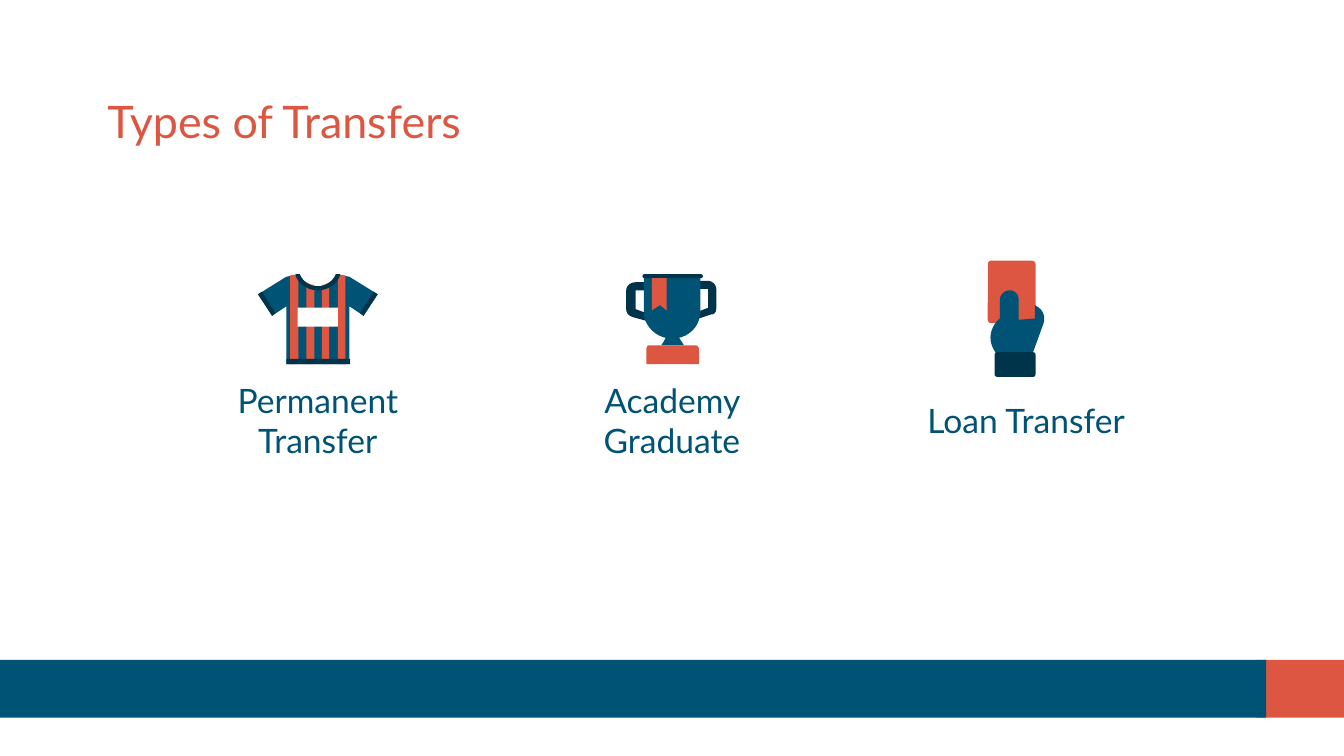
from pptx import Presentation
from pptx.dml.color import RGBColor
from pptx.enum.shapes import MSO_SHAPE
from pptx.enum.text import MSO_ANCHOR, PP_ALIGN
from pptx.util import Inches, Pt

RECT, ROUND = MSO_SHAPE.RECTANGLE, MSO_SHAPE.ROUNDED_RECTANGLE
LEFT, CENTER, MIDDLE = PP_ALIGN.LEFT, PP_ALIGN.CENTER, MSO_ANCHOR.MIDDLE
BLUE, RED, NAVY, WHITE = "005375", "DC5641", "00344A", "FFFFFF"
W = 10
H = W * 9 / 16

TITLE = "Types of Transfers"
BANDS = [(9.35, 0.65, RED), (0, 9.42, BLUE)]  # left, width, colour
BAND_TOP, BAND_H = 4.91, 0.43


def mirror(points):
    return [(-x, y) for x, y in points]


# Icon parts are in 1/100 inch from the column's centre and the icon row's top.
# Outline: points (x, y) and Bezier curves (x1, y1, x2, y2, x, y).
# Box: (preset, left, top, width, height, corner radius).
COLLAR = [(11.5, 15, 6.5, 19, 0, 19), (-6.5, 19, -11.5, 15, -13.5, 10)]
SIDE = [(13.5, 10), (23.5, 12), (44.5, 25), (34, 41), (23.5, 34), (23.5, 77)]
CUFF = [(41.5, 23), (31.5, 39), (34, 41), (44.5, 25)]
SHIRT = [
    (BLUE, mirror(SIDE) + SIDE[::-1] + COLLAR),
    (RED, [(-14.5, 10), (-20.5, 11), (-20.5, 77), (-14.5, 77)]),
    (RED, [(-8.5, 16), (-8.5, 77), (-2.5, 77), (-2.5, 18), (-5, 18, -7, 17, -8.5, 16)]),
    (RED, [(8.5, 16), (7, 17, 5, 18, 3, 18), (3, 77), (8.5, 77)]),
    (RED, [(15, 10), (15, 77), (20.5, 77), (20.5, 11)]),
    (NAVY, [(-13.5, 10), (-16.5, 10), (-16.5, 11), (-14, 18, -7, 22, 0, 22),
            (7, 22, 14, 18, 16.5, 11), (16.5, 10), (13.5, 10)] + COLLAR),
    (NAVY, CUFF),
    (NAVY, mirror(CUFF)),
    (NAVY, (RECT, -23.5, 73, 47.5, 4, 0)),
    (WHITE, (RECT, -15, 35, 30, 14, 0)),
]
TROPHY = [
    (NAVY, [(-19, 16), (-19, 22), (-27, 22), (-27, 36), (-19, 39),
            (-19, 41, -19, 43, -18, 45), (-29, 42), (-32, 41, -34, 39, -34, 36),
            (-34, 22), (-34, 19, -31, 16, -27, 16)]),
    (NAVY, [(18, 15), (18, 21), (27, 21), (27, 35), (19, 38),
            (19, 40, 18, 42, 17, 44), (29, 40), (32, 40, 33, 38, 33, 35),
            (33, 21), (33, 18, 30, 15, 27, 15)]),
    (BLUE, [(-2, 52), (-6, 60), (-8, 63), (9, 63), (7, 60), (2, 52)]),
    (BLUE, [(-21, 13), (-21, 38), (-21, 49, -11, 58, 0, 58),
            (12, 58, 21, 49, 21, 38), (21, 13)]),
    (NAVY, (ROUND, -22, 10, 45, 3, 1.5)),
    (RED, [(-17, 63), (-18, 63, -19, 64, -19, 66), (-19, 77), (20, 77),
           (20, 66), (20, 64, 19, 63, 17, 63)]),
    (RED, [(-15, 13), (-15, 37), (-9, 33), (-4, 37), (-4, 13)]),
]
CARD = [
    (RED, (ROUND, -28.5, 0, 35.5, 46.5, 2.5)),
    (BLUE, [(-12.5, 22), (-15.5, 22, -19.5, 25, -19.5, 29), (-19.5, 43),
            (-23.5, 46, -26.5, 52, -26.5, 57), (-26.5, 62, -24.5, 66, -21.5, 70),
            (4.5, 70), (12.5, 48), (14.5, 43, 13.5, 38, 9.5, 35), (6.5, 33),
            (6.5, 43), (-5.5, 44), (-5.5, 29), (-5.5, 25, -8.5, 22, -12.5, 22)]),
    (NAVY, (ROUND, -23.5, 68, 30.5, 18.5, 2)),
]
TYPES = [("Permanent Transfer", SHIRT), ("Academy Graduate", TROPHY),
         ("Loan Transfer", CARD)]
PITCH, ICON_TOP = 2.635, 1.94
LABEL_TOP, LABEL_W, TEXT_H = 2.91, 2.11, 0.43
CURVE_STEPS = 10


def rgb(color):
    return RGBColor.from_string(color)


def paint(sp, color):
    sp.shadow.inherit = False
    sp.fill.solid()
    sp.fill.fore_color.rgb = rgb(color)
    sp.line.fill.background()


def add_box(shapes, preset, x, y, w, h, color, radius=0):
    sp = shapes.add_shape(preset, Inches(x), Inches(y), Inches(w), Inches(h))
    if radius:
        sp.adjustments[0] = radius / min(w, h)
    paint(sp, color)


def flatten(outline):
    """Turn points and Bezier curves into a plain list of points."""
    points = []
    for step in outline:
        if len(step) == 2:
            points.append(step)
            continue
        start, c1, c2, end = points[-1], step[:2], step[2:4], step[4:]
        for n in range(1, CURVE_STEPS + 1):
            t = n / CURVE_STEPS
            u = 1 - t
            points.append(tuple(
                u**3 * a + 3 * u * u * t * b + 3 * u * t * t * c + t**3 * d
                for a, b, c, d in zip(start, c1, c2, end)))
    return points


def add_icon(shapes, parts, cx, top):
    group = shapes.add_group_shape().shapes
    for color, part in parts:
        if isinstance(part, tuple):
            preset, x, y, w, h, radius = part
            add_box(group, preset, cx + x / 100, top + y / 100, w / 100, h / 100,
                    color, radius / 100)
        else:
            points = [(Inches(cx + x / 100), Inches(top + y / 100))
                      for x, y in flatten(part)]
            builder = group.build_freeform(*points[0])
            builder.add_line_segments(points[1:], close=True)
            paint(builder.convert_to_shape(), color)


def add_text(shapes, text, x, y, w, size, color, align):
    tf = shapes.add_textbox(Inches(x), Inches(y), Inches(w), Inches(TEXT_H)).text_frame
    tf.word_wrap, tf.vertical_anchor = True, MIDDLE
    for side in ("left", "top", "right", "bottom"):
        setattr(tf, f"margin_{side}", Inches(0.1))
    p = tf.paragraphs[0]
    p.alignment = align
    r = p.add_run()
    r.text = text
    for name, value in {"name": "Lato", "size": Pt(size)}.items():
        setattr(r.font, name, value)
    r.font.color.rgb = rgb(color)


def main():
    prs = Presentation()
    prs.slide_width, prs.slide_height = Inches(W), Inches(H)
    s = prs.slides.add_slide(prs.slide_layouts[6])
    for left, width, color in BANDS:
        add_box(s.shapes, RECT, left, BAND_TOP, width, BAND_H, color)
    add_text(s.shapes, TITLE, 0.7, 0.68, 8.82, 24, RED, LEFT)
    for i, (label, icon) in enumerate(TYPES):
        cx = W / 2 + (i - 1) * PITCH
        add_text(s.shapes, label, cx - LABEL_W / 2, LABEL_TOP, LABEL_W, 18, BLUE, CENTER)
        add_icon(s.shapes, icon, cx, ICON_TOP)
    prs.save("out.pptx")


if __name__ == "__main__":
    main()
